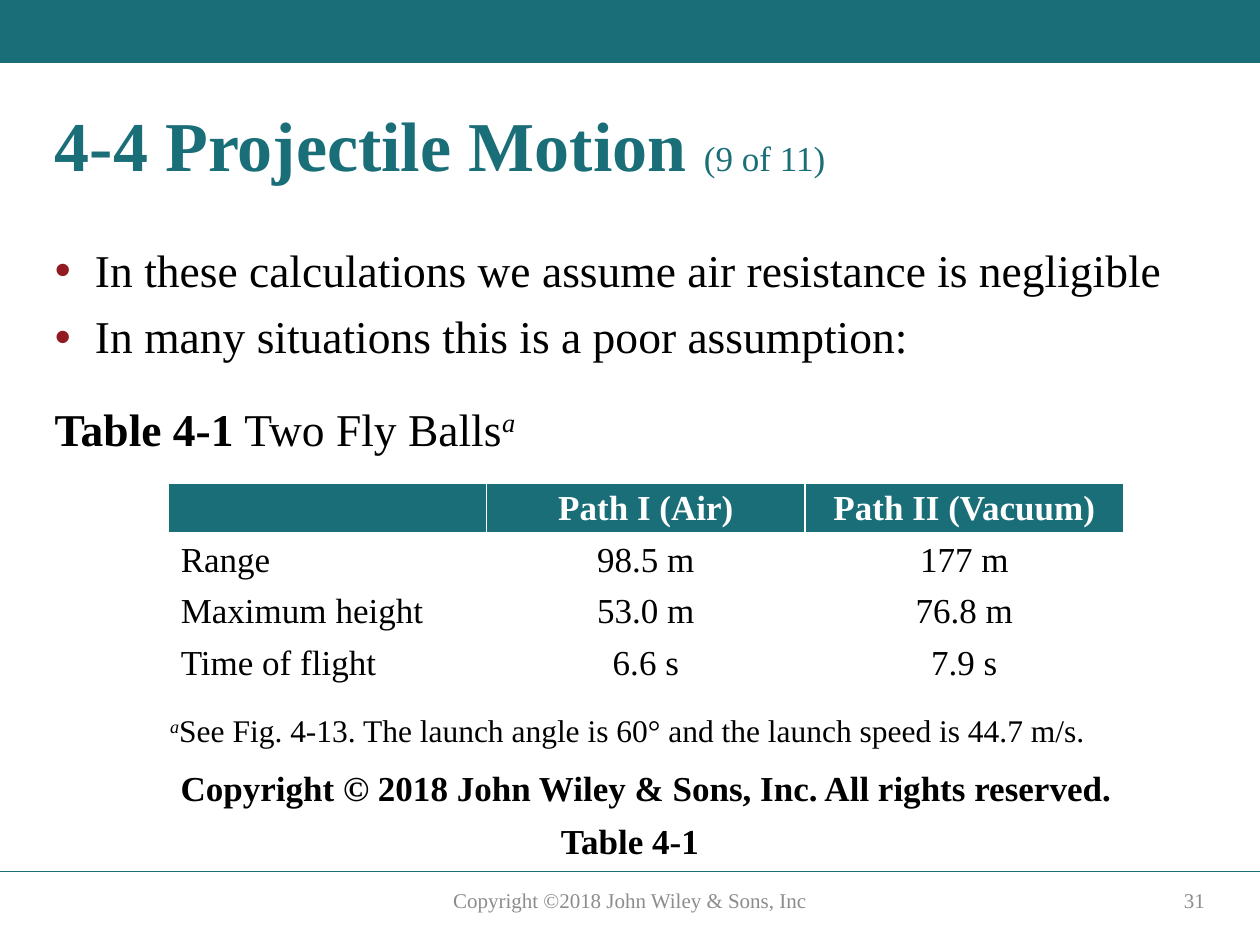
from lxml.etree import SubElement
from pptx import Presentation
from pptx.dml.color import RGBColor
from pptx.enum.shapes import MSO_CONNECTOR, MSO_SHAPE
from pptx.enum.text import MSO_ANCHOR, MSO_AUTO_SIZE, PP_ALIGN
from pptx.oxml.ns import qn
from pptx.util import Cm, Pt

FONT = "Times New Roman"
COLORS = {
    "teal": "196E78",
    "bullet": "911B21",
    "text": "000000",
    "white": "FFFFFF",
    "footer": "8C8C8C",
}
BALL_ROWS = [
    ("", "Path I (Air)", "Path II (Vacuum)"),
    ("Range", "98.5 m", "177 m"),
    ("Maximum height", "53.0 m", "76.8 m"),
    ("Time of flight", "6.6 s", "7.9 s"),
]


def color(name):
    return RGBColor.from_string(COLORS[name])


def add_run(paragraph, text, size, color_name="text", bold=False, superscript=False):
    run = paragraph.add_run()
    run.text = text
    run.font.name = FONT
    run.font.size = Pt(size)
    run.font.bold = bold
    run.font.color.rgb = color(color_name)
    if superscript:
        run.font.italic = True
        run.font._element.set("baseline", "30000")


def place(shape, left, top, width, height):
    shape.left, shape.top = Cm(left), Cm(top)
    shape.width, shape.height = Cm(width), Cm(height)


def prepare_frame(shape, anchor=MSO_ANCHOR.TOP):
    frame = shape.text_frame
    frame.word_wrap = True
    frame.auto_size = MSO_AUTO_SIZE.NONE
    frame.vertical_anchor = anchor
    return frame


def add_text(slide, box, alignment=PP_ALIGN.LEFT, anchor=MSO_ANCHOR.TOP, line_spacing=0.9):
    shape = slide.shapes.add_textbox(*(Cm(length) for length in box))
    paragraph = prepare_frame(shape, anchor).paragraphs[0]
    paragraph.alignment = alignment
    paragraph.line_spacing = line_spacing
    return paragraph


def add_band(slide, width):
    band = slide.shapes.add_shape(MSO_SHAPE.RECTANGLE, 0, 0, width, Cm(1.27))
    band.shadow.inherit = False
    band.fill.solid()
    band.fill.fore_color.rgb = color("teal")
    band.line.fill.background()


def add_rule(slide, width):
    top = Cm(17.57)
    rule = slide.shapes.add_connector(MSO_CONNECTOR.STRAIGHT, 0, top, width, top)
    rule.line.color.rgb = color("teal")
    rule.line.width = Pt(1)
    SubElement(rule._element.spPr, qn("a:effectLst"))


def fill_title(title):
    place(title, 0.85, 2.12, 23.7, 2.33)
    paragraph = prepare_frame(title).paragraphs[0]
    paragraph.alignment = PP_ALIGN.LEFT
    paragraph.line_spacing = 0.9
    add_run(paragraph, "4-4 Projectile Motion ", 40, "teal", bold=True)
    add_run(paragraph, "(9 of 11)", 20, "teal")


def set_bullet(paragraph):
    properties = paragraph._p.get_or_add_pPr()
    indent = Cm(0.81)
    properties.set("marL", str(indent))
    properties.set("indent", str(-indent))
    bullet_color = SubElement(properties, qn("a:buClr"))
    SubElement(bullet_color, qn("a:srgbClr"), val=COLORS["bullet"])
    SubElement(properties, qn("a:buFont"), typeface="Arial")
    SubElement(properties, qn("a:buChar"), char="•")


def fill_bullets(body, lines):
    place(body, 0.85, 4.87, 23.7, 2.61)
    frame = prepare_frame(body)
    for index, line in enumerate(lines):
        paragraph = frame.add_paragraph() if index else frame.paragraphs[0]
        set_bullet(paragraph)
        paragraph.line_spacing = 0.9
        paragraph.space_before = Pt(10 if index else 0)
        add_run(paragraph, line, 26)


def set_borders(cell, bottom_width):
    properties = cell._tc.get_or_add_tcPr()
    for side, width in (("L", 1), ("R", 1), ("T", 1), ("B", bottom_width)):
        border = SubElement(properties, qn(f"a:ln{side}"), w=str(Pt(width)))
        fill = SubElement(border, qn("a:solidFill"))
        SubElement(fill, qn("a:srgbClr"), val=COLORS["white"])


def add_ball_table(slide):
    column_width, row_height = 6.42, 1.04
    row_count, column_count = len(BALL_ROWS), len(BALL_ROWS[0])
    table = slide.shapes.add_table(
        row_count, column_count, Cm(3.39), Cm(9.74),
        Cm(column_width * column_count), Cm(row_height * row_count),
    ).table
    for column in table.columns:
        column.width = Cm(column_width)
    for row_index, values in enumerate(BALL_ROWS):
        is_header = row_index == 0
        table.rows[row_index].height = Cm(row_height)
        for column_index, value in enumerate(values):
            cell = table.cell(row_index, column_index)
            set_borders(cell, 3 if is_header else 1)
            cell.fill.solid()
            cell.fill.fore_color.rgb = color("teal" if is_header else "white")
            paragraph = cell.text_frame.paragraphs[0]
            paragraph.alignment = PP_ALIGN.CENTER if column_index else PP_ALIGN.LEFT
            if value:
                add_run(paragraph, value, 20, "white" if is_header else "text", is_header)


def add_footer(slide, box, text, alignment):
    paragraph = add_text(slide, box, alignment, MSO_ANCHOR.MIDDLE, 1.0)
    add_run(paragraph, text, 12, "footer")


def main():
    presentation = Presentation()
    presentation.slide_width, presentation.slide_height = Cm(25.4), Cm(19.05)
    slide = presentation.slides.add_slide(presentation.slide_layouts[1])

    add_band(slide, presentation.slide_width)
    add_rule(slide, presentation.slide_width)
    fill_title(slide.shapes.title)
    fill_bullets(slide.placeholders[1], [
        "In these calculations we assume air resistance is negligible",
        "In many situations this is a poor assumption:",
    ])

    caption = add_text(slide, (0.85, 8.08, 10.16, 1.25))
    add_run(caption, "Table 4-1", 26, bold=True)
    add_run(caption, " Two Fly Balls", 26)
    add_run(caption, "a", 26, superscript=True)

    add_ball_table(slide)

    footnote = add_text(slide, (3.18, 14.3, 20.95, 0.87))
    add_run(footnote, "a", 18, superscript=True)
    add_run(footnote, "See Fig. 4-13. The launch angle is 60° and the launch speed is 44.7 m/s.", 18)

    rights = add_text(slide, (3.39, 15.42, 21.16, 0.95))
    add_run(rights, "Copyright © 2018 John Wiley & Sons, Inc. All rights reserved.", 20, bold=True)

    table_label = add_text(slide, (10.94, 16.5, 3.52, 0.87), PP_ALIGN.CENTER)
    add_run(table_label, "Table 4-1", 20, bold=True)

    add_footer(slide, (17.93, 17.65, 6.61, 1.01), "31", PP_ALIGN.RIGHT)
    add_footer(slide, (8.41, 17.65, 8.58, 1.01), "Copyright ©2018 John Wiley & Sons, Inc", PP_ALIGN.CENTER)

    presentation.save("out.pptx")


if __name__ == "__main__":
    main()
